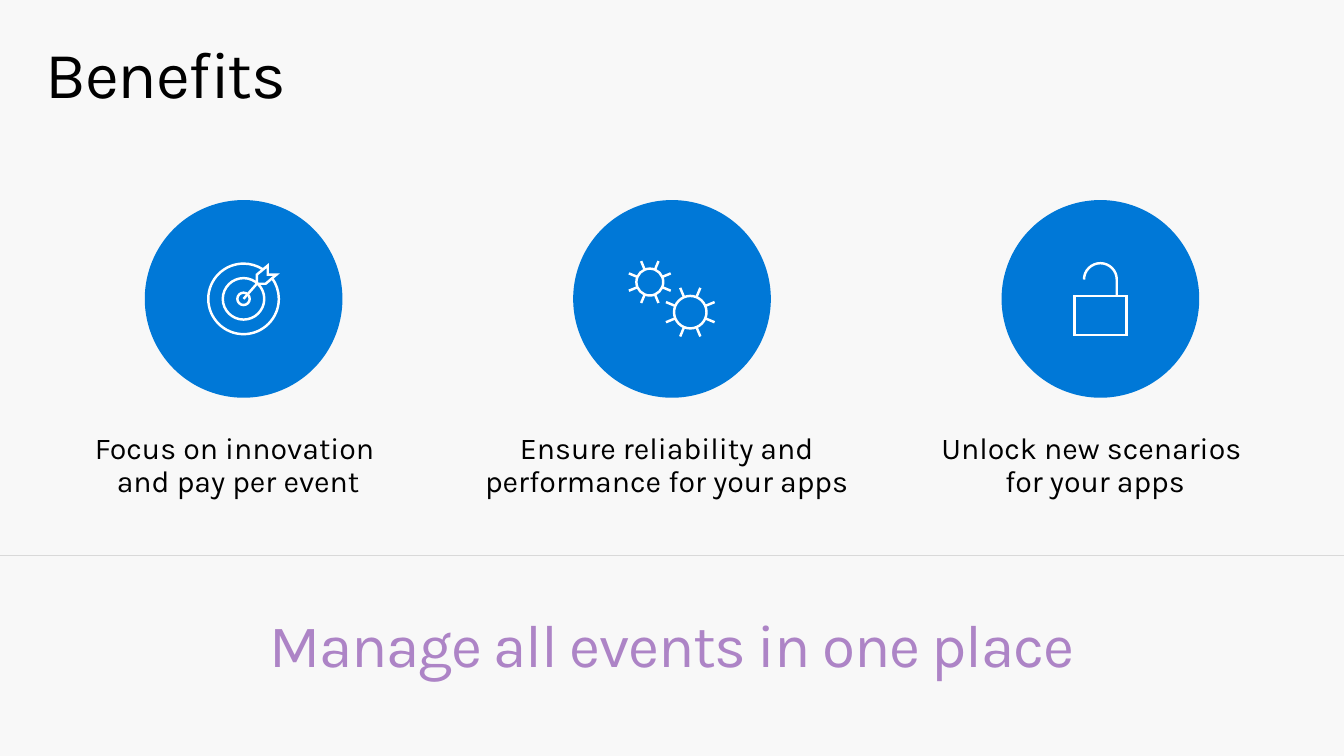
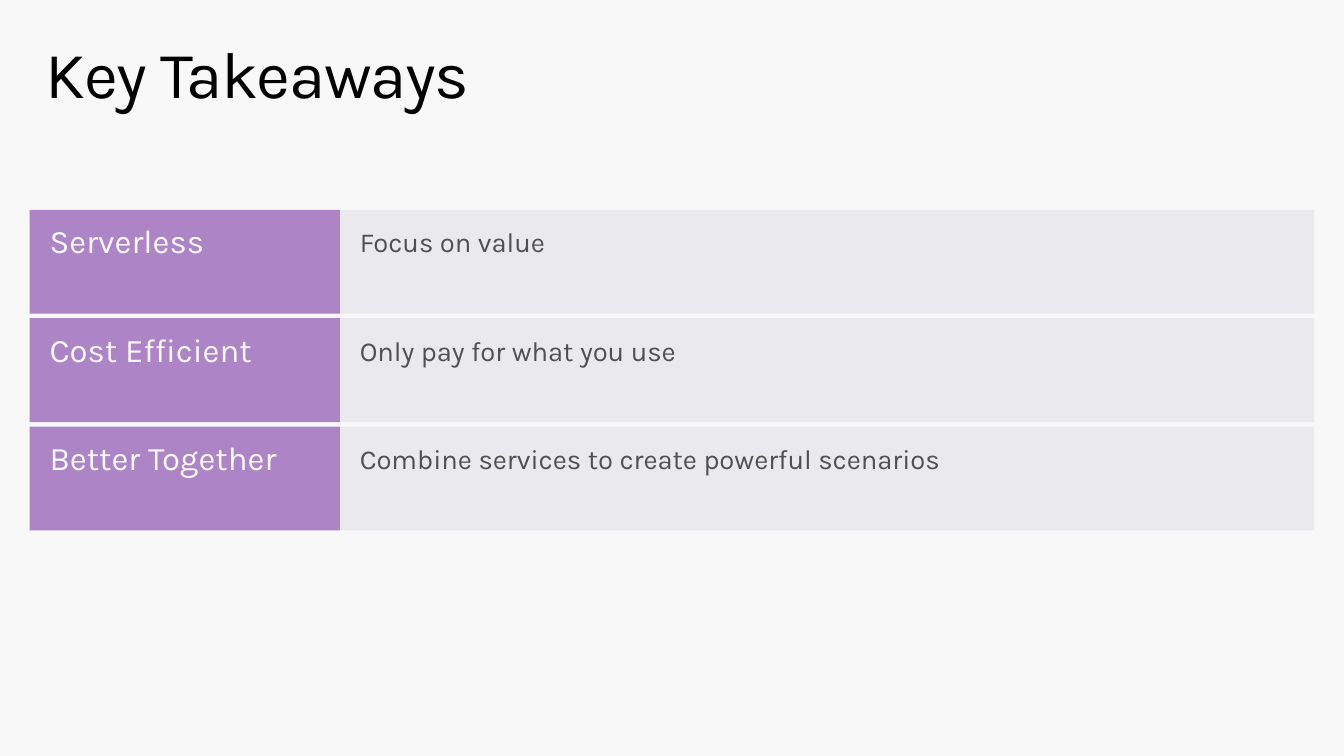
import math
from pptx import Presentation
from pptx.util import Pt
from pptx.dml.color import RGBColor
from pptx.enum import shapes as kinds, text as txt
from pptx.oxml.ns import qn
from lxml import etree

# Content
HEADS = ["Benefits", "Key Takeaways"]
# icon name, label, label left and width
GAINS = [
    ("target", "Focus on innovation \nand pay per event", 46.8, 254),
    ("gears", "Ensure reliability and performance for your apps", 331.6, 296.6),
    ("lock", "Unlock new scenarios \nfor your apps", 658.8, 254),
]
CLAIM = "Manage all events in one place"
ROWS = [
    ("Serverless", "Focus on value"),
    ("Cost Efficient", "Only pay for what you use"),
    ("Better Together", "Combine services to create powerful scenarios"),
]

# Shared look
INK = dict(back="F8F8F8", black="000000", gray="505050", pale="EAE9EE",
           rule="D9D9D9", violet="AD84C6", blue="0078D7", white="FFFFFF")
FONT = "Karla"
WIDE, HIGH = 960, 540
EDGE, SPAN = 21.2, 917.6
BAR_PAD = (14.2, 11.2, 14.2, 11.2)
HEAD_PAD = (11.5, 7.2, 11.5, 7.2)
LABEL_PAD = (7.2, 11.5, 14.4, 11.5)


def tint(name):
    return RGBColor.from_string(INK[name])


def box(*pts):
    return [Pt(v) for v in pts]


def write(shape, words, size, ink="black", pad=BAR_PAD, align="LEFT",
          lead=0.9, after=0, track=0):
    """Put formatted text in a shape."""
    frame = shape.text_frame
    frame.word_wrap = True
    frame.auto_size = txt.MSO_AUTO_SIZE.NONE
    frame.vertical_anchor = txt.MSO_ANCHOR.TOP
    (frame.margin_left, frame.margin_top,
     frame.margin_right, frame.margin_bottom) = box(*pad)
    para = frame.paragraphs[0]
    para.text = words
    para.alignment = txt.PP_ALIGN[align]
    para.line_spacing = lead
    para.space_before, para.space_after = Pt(0), Pt(after)
    for run in para.runs:
        font = run.font
        font.name, font.size = FONT, Pt(size)
        font.color.rgb = tint(ink)
        if track:
            run._r.get_or_add_rPr().set("spc", str(round(track * 100)))


def block(host, kind, place, fill):
    """Add a plain filled shape without outline."""
    shape = host.add_shape(kind, *box(*place))
    shape.shadow.inherit = False
    shape.fill.solid()
    shape.fill.fore_color.rgb = tint(fill)
    shape.line.fill.background()
    return shape


def start(deck, head):
    slide = deck.slides.add_slide(deck.slide_layouts[5])
    title = slide.shapes.title
    title.left, title.top, title.width, title.height = box(
        EDGE, 22.6, SPAN, 70.6)
    write(title, head, 47, pad=HEAD_PAD, track=-1)
    return slide.shapes


# Icon strokes, in points from the centre of the disc:
# a start point, then line ends (x, y) or curves (x1, y1, x2, y2, x, y)
def spot(x, y, r, deg):
    t = math.radians(deg)
    return x + r * math.cos(t), y + r * math.sin(t)


def arc(x, y, r, *turns):
    """Curve through the given angles, none more than 90 degrees apart."""
    stroke = [spot(x, y, r, turns[0])]
    for a, b in zip(turns, turns[1:]):
        k = 4 / 3 * math.tan(math.radians(b - a) / 4)
        (ax, ay), (bx, by) = spot(x, y, r, a), spot(x, y, r, b)
        stroke.append((ax - k * (ay - y), ay + k * (ax - x),
                       bx + k * (by - y), by - k * (bx - x), bx, by))
    return stroke


def ring(x, y, r):
    return arc(x, y, r, 0, 90, 180, 270, 360)


def gear(x, y, r, tip):
    teeth = [[spot(x, y, d, 22.5 + 45 * k) for d in (r, tip)]
             for k in range(8)]
    return [ring(x, y, r)] + teeth


ICONS = {
    "target": [
        arc(0, 0, 25.2, -37, 0, 90, 180, 270, 303),
        ring(0, 0, 14.8), ring(0, 0, 4.4),
        [(0, 0), (9.5, -10.8)],
        [(23.5, -17.3), (17.3, -17.3), (17.3, -23.8), (9.5, -17.3),
         (9.5, -10.8), (15.8, -10.8), (23.5, -17.3)],
    ],
    "gears": gear(-15.8, -12, 9.6, 16.2) + gear(13.1, 9.5, 11.6, 18.8),
    "lock": [
        [(-18.5, -2), (18.5, -2), (18.5, 25.6), (-18.5, 25.6), (-18.5, -2)],
        [(11.7, -2)] + arc(0, -13.8, 11.7, 0, -90, -180),
    ],
}


def bend(art, curves):
    """Turn the line steps that have control points into curves."""
    lines = list(art._element.iter(qn("a:lnTo")))
    for line, step in zip(lines, curves):
        if len(step) == 2:
            continue
        line.tag = qn("a:cubicBezTo")
        for i, (x, y) in enumerate((step[:2], step[2:4])):
            pt = etree.Element(qn("a:pt"), x=str(Pt(x) - art.left),
                               y=str(Pt(y) - art.top))
            line.insert(i, pt)


def trace(host, strokes, x, y):
    """Draw the strokes as one outline around a centre."""
    pen, curves = None, []
    for stroke in strokes:
        moved = [[v + (x, y)[i % 2] for i, v in enumerate(step)]
                 for step in stroke]
        ends = [box(*step[-2:]) for step in moved]
        if pen is None:
            pen = host.build_freeform(*ends[0])
        else:
            pen.move_to(*ends[0])
        pen.add_line_segments(ends[1:], close=math.dist(ends[0], ends[-1]) < 9)
        curves += moved[1:]
    art = pen.convert_to_shape()
    bend(art, curves)
    art.shadow.inherit = False
    art.fill.background()
    art.line.color.rgb = tint("white")
    art.line.width = Pt(1.75)
    etree.SubElement(art.line._get_or_add_ln(), qn("a:miter"), lim="800000")


def badge(host, icon, x, y, r):
    """Group a disc with its line icon."""
    group = host.add_group_shape().shapes
    block(group, kinds.MSO_SHAPE.OVAL, (x - r, y - r, 2 * r, 2 * r), "blue")
    trace(group, ICONS[icon], x, y)


def gains(deck):
    host = start(deck, HEADS[0])
    gap = 306
    for i, (icon, label, left, width) in enumerate(GAINS):
        badge(host, icon, WIDE / 2 + (i - 1) * gap, 213.5, 70.6)
        note = host.add_textbox(*box(left, 298, width, 70.6))
        write(note, label, 21.6, pad=LABEL_PAD, align="CENTER", after=12)

    # Divider and claim
    rule = host.add_connector(kinds.MSO_CONNECTOR.STRAIGHT,
                              *box(0, 397, WIDE, 397))
    rule.line.color.rgb = tint("rule")
    rule.line.width = Pt(1)
    etree.SubElement(rule._element.spPr, qn("a:effectLst"))
    claim = host.add_textbox(*box(EDGE, 432.4, SPAN, 62))
    write(claim, CLAIM, 43.1, "violet", HEAD_PAD, "CENTER", track=-0.94)


def points(deck):
    host = start(deck, HEADS[1])
    top, step, tall, key = 149.9, 77.4, 74.2, 221.6
    rect = kinds.MSO_SHAPE.RECTANGLE
    spots = [top + i * step for i in range(len(ROWS))]
    for y, (name, fact) in zip(spots, ROWS):
        bar = block(host, rect, (EDGE + key, y, SPAN - key, tall), "pale")
        write(bar, fact, 19.6, "gray", lead=1.0)
        tag = block(host, rect, (EDGE, y, key, tall), "violet")
        write(tag, name, 23.5, "back")


def main():
    deck = Presentation()
    deck.slide_width, deck.slide_height = box(WIDE, HIGH)
    back = deck.slide_master.background.fill
    back.solid()
    back.fore_color.rgb = tint("back")
    gains(deck)
    points(deck)
    deck.save("out.pptx")


if __name__ == "__main__":
    main()
